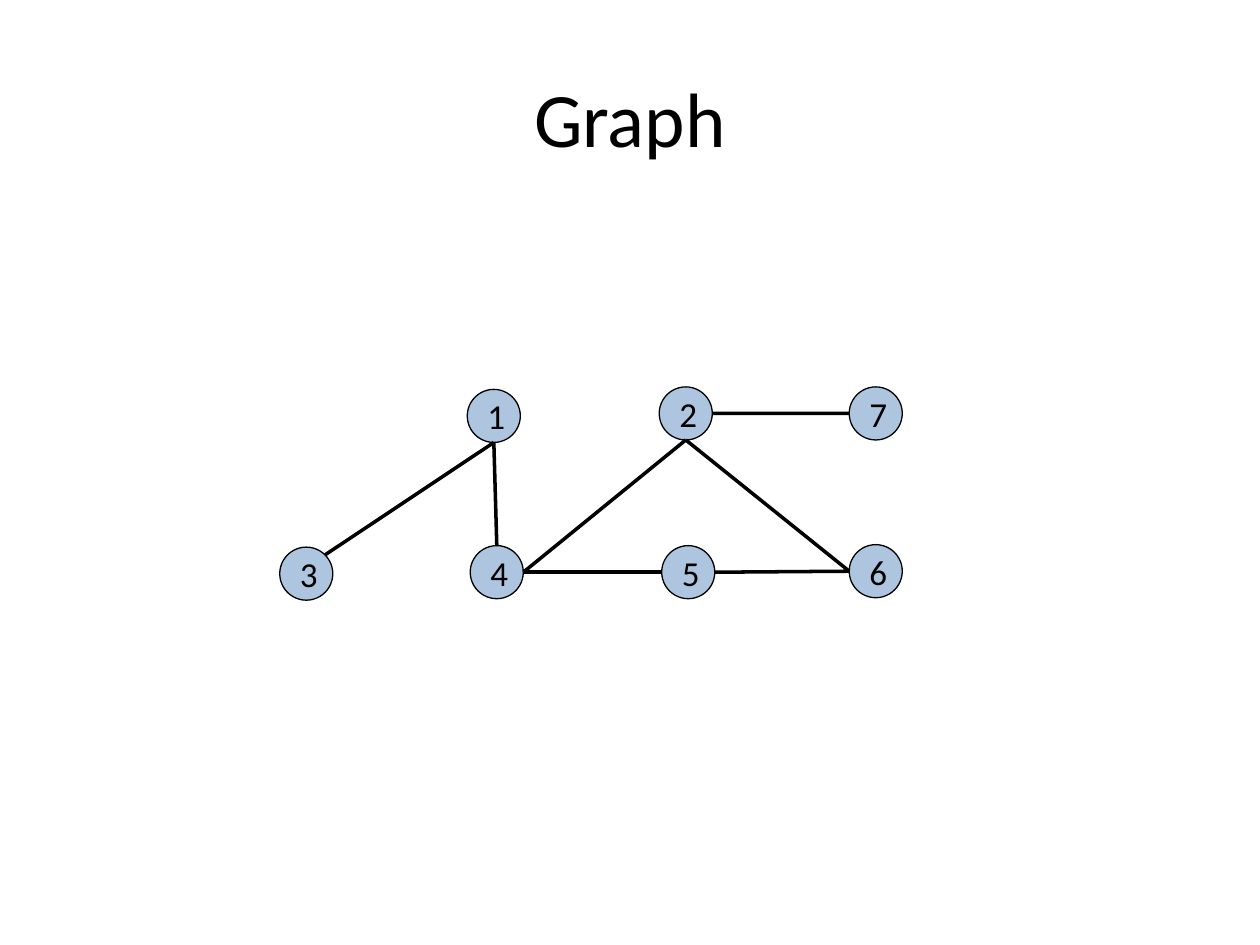
import math

from lxml import etree
from pptx import Presentation
from pptx import util as u
from pptx.dml.color import RGBColor
from pptx.enum import shapes, text
from pptx.oxml import ns

BLACK = RGBColor(0x00, 0x00, 0x00)
NODE_BLUE = RGBColor(0x4F, 0x81, 0xBD)
NODE_ALPHA = 46
FONT = "Calibri"
DIAMETER = 1.07

# Node positions in cm, from the top left corner of the graph
NODES = {
    "1": (3.78, 0.05), "2": (7.65, 0), "3": (0, 3.23), "4": (3.84, 3.2),
    "5": (7.7, 3.2), "6": (11.48, 3.18), "7": (11.48, 0),
}

# Directions on a node's rim, in degrees clockwise from the right
RIGHT, BOTTOM, LEFT, TOP, TOP_RIGHT = 0, 90, 180, 270, 315
EDGES = [
    ("1", BOTTOM, "4", TOP), ("1", BOTTOM, "3", TOP_RIGHT),
    ("6", LEFT, "5", RIGHT), ("7", LEFT, "2", RIGHT),
    ("4", RIGHT, "5", LEFT), ("2", BOTTOM, "4", RIGHT),
    ("6", LEFT, "2", BOTTOM),
]


def write(shape, wording, size, align):
    frame = shape.text_frame
    frame.text = wording
    frame.word_wrap = True
    frame.vertical_anchor = text.MSO_ANCHOR.MIDDLE
    paragraph = frame.paragraphs[0]
    paragraph.alignment = align
    font = paragraph.runs[0].font
    font.name, font.size = FONT, u.Pt(size)
    font.color.rgb = BLACK


def add_heading(slide, left, top, width, height):
    heading = slide.shapes.add_textbox(
        u.Cm(left), u.Cm(top), u.Cm(width), u.Cm(height))
    write(heading, "Graph", 44, text.PP_ALIGN.CENTER)


def add_node(slide, label, left, top):
    node = slide.shapes.add_shape(
        shapes.MSO_SHAPE.OVAL,
        u.Cm(left), u.Cm(top), u.Cm(DIAMETER), u.Cm(DIAMETER))
    node.shadow.inherit = False
    node.fill.solid()
    node.fill.fore_color.rgb = NODE_BLUE
    color = node.fill._xPr.find(".//" + ns.qn("a:srgbClr"))
    etree.SubElement(color, ns.qn("a:alpha"), val=str(NODE_ALPHA * 1000))
    node.line.color.rgb = BLACK
    node.line.width = u.Pt(0.75)
    write(node, label, 20, text.PP_ALIGN.RIGHT)


def add_edge(slide, start, end):
    edge = slide.shapes.add_connector(
        shapes.MSO_CONNECTOR.STRAIGHT, *map(u.Cm, start + end))
    edge.line.color.rgb = BLACK
    edge.line.width = u.Pt(2)
    etree.SubElement(edge._element.spPr, ns.qn("a:effectLst"))


def add_graph(slide, left, top):
    def rim(label, degrees):
        x, y = NODES[label]
        radius, angle = DIAMETER / 2, math.radians(degrees)
        return (left + x + radius * (1 + math.cos(angle)),
                top + y + radius * (1 + math.sin(angle)))

    for label, (x, y) in NODES.items():
        add_node(slide, label, left + x, top + y)
    for source, source_side, target, target_side in EDGES:
        add_edge(slide, rim(source, source_side), rim(target, target_side))


presentation = Presentation()
presentation.slide_width, presentation.slide_height = u.Cm(25.4), u.Cm(19.05)
graph_slide = presentation.slides.add_slide(presentation.slide_layouts[6])

# Heading
add_heading(graph_slide, 1.27, 0.76, 22.86, 3.18)

# Nodes and edges
add_graph(graph_slide, 5.64, 7.8)

presentation.save("out.pptx")
